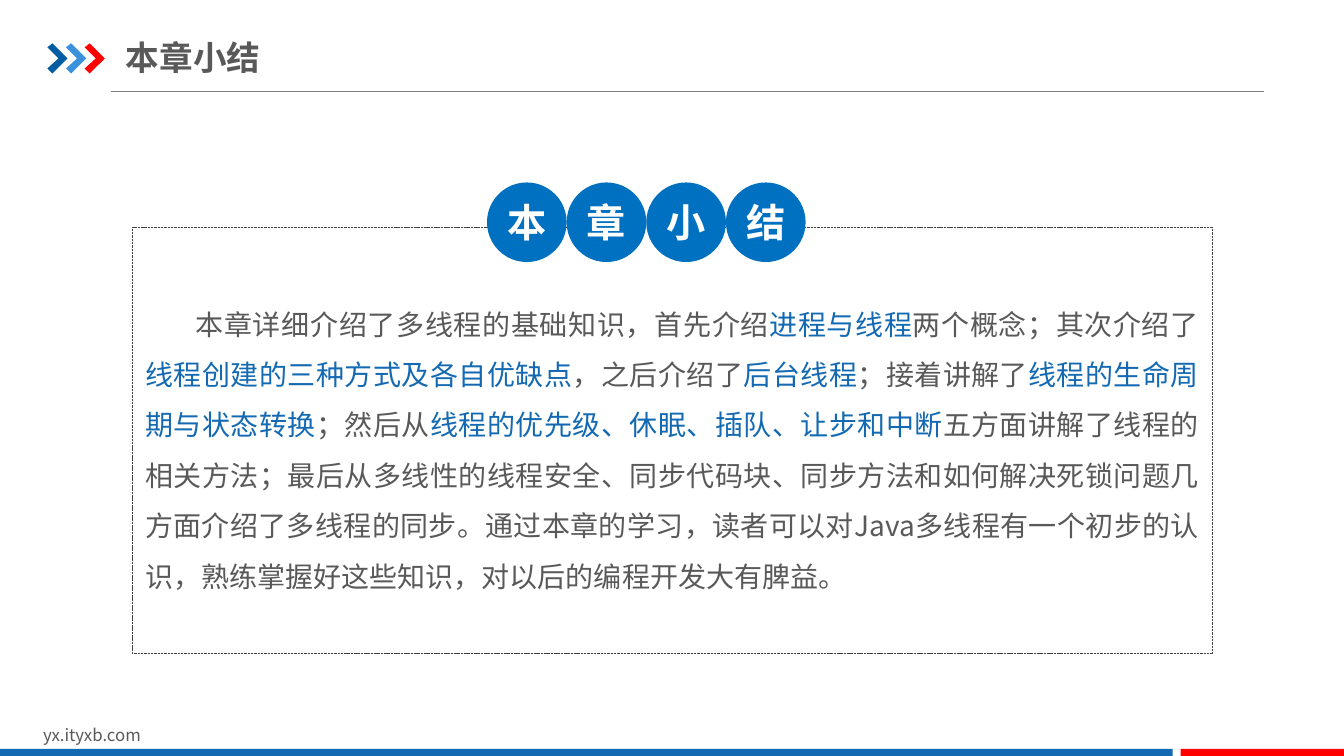
import pptx
import pptx.util
import pptx.dml.color
import pptx.enum.dml
import pptx.enum.shapes
import pptx.enum.text
import pptx.oxml.ns
from lxml import etree

Inches = pptx.util.Inches
SHAPE = pptx.enum.shapes.MSO_SHAPE
ALIGN = pptx.enum.text.PP_ALIGN
ANCHOR = pptx.enum.text.MSO_ANCHOR
rgb = pptx.dml.color.RGBColor.from_string
qn = pptx.oxml.ns.qn

theme = {
    "font": "Noto Sans CJK SC",
    "text": rgb("595959"),
    "accent": rgb("1369B2"),
    "red": rgb("FF0000"),
    "circle": rgb("0070C0"),
    "white": rgb("FFFFFF"),
    "rule": rgb("808080"),
    "frame": rgb("404040"),
    "chevrons": [rgb("005DA2"), rgb("3992DB"), rgb("FF0000")],
    "footer_pt": 12,
    "title_pt": 24,
    "body_pt": 20,
    "circle_pt": 28,
}


def write(sp, runs, size, bold=False, align=ALIGN.LEFT, anchor=ANCHOR.TOP, insets=(0.1, 0.05)):
    tf = sp.text_frame
    tf.word_wrap = True
    tf.vertical_anchor = anchor
    tf.margin_left = tf.margin_right = Inches(insets[0])
    tf.margin_top = tf.margin_bottom = Inches(insets[1])
    p = tf.paragraphs[0]
    p.alignment = align
    p.font.name = theme["font"]
    p.font.size = pptx.util.Pt(size)
    p.font.bold = bold
    default = p._p.pPr.find(qn("a:defRPr"))
    etree.SubElement(default, qn("a:ea"), typeface=theme["font"])
    for text, color in runs:
        r = p.add_run()
        r.text = text
        r.font.color.rgb = theme[color]
    return p


def paint(sp, color):
    sp.shadow.inherit = False
    sp.fill.solid()
    sp.fill.fore_color.rgb = color
    sp.line.fill.background()


prs = pptx.Presentation()
prs.slide_width = Inches(13.33)
prs.slide_height = Inches(7.5)
s = prs.slides.add_slide(prs.slide_layouts[6])

rule = s.shapes.add_connector(pptx.enum.shapes.MSO_CONNECTOR.STRAIGHT,
                              Inches(1.1), Inches(0.91), Inches(12.54), Inches(0.91))
rule.line.color.rgb = theme["rule"]
rule.line.width = pptx.util.Pt(0.75)
etree.SubElement(rule._element.spPr, qn("a:effectLst"))

chevron = [(0, 0.04), (0.05, 0), (0.2, 0.15), (0.05, 0.3), (0, 0.25), (0.11, 0.15)]
for i, color in enumerate(theme["chevrons"]):
    points = [(Inches(0.47 + 0.185 * i + x), Inches(0.43 + y)) for x, y in chevron]
    fb = s.shapes.build_freeform(*points[0])
    fb.add_line_segments(points[1:], close=True)
    paint(fb.convert_to_shape(), color)

footer = s.shapes.add_textbox(Inches(0.33), Inches(7.14), Inches(3.18), Inches(0.3))
write(footer, [("yx.ityxb.com", "text")], theme["footer_pt"])

for left, width, color in [(0, 11.63, "accent"), (11.71, 1.62, "red")]:
    bar = s.shapes.add_shape(SHAPE.RECTANGLE, Inches(left), Inches(7.43), Inches(width), Inches(0.07))
    paint(bar, theme[color])

title = s.shapes.add_textbox(Inches(1.25), Inches(0.29), Inches(6.2), Inches(0.55))
write(title, [("本章小结", "text")], theme["title_pt"], bold=True, anchor=ANCHOR.MIDDLE, insets=(0, 0.07))

summary = [
    ("本章详细介绍了多线程的基础知识，首先介绍", "text"),
    ("进程与线程", "accent"),
    ("两个概念；其次介绍了", "text"),
    ("线程创建的三种方式及各自优缺点", "accent"),
    ("，之后介绍了", "text"),
    ("后台线程", "accent"),
    ("；接着讲解了", "text"),
    ("线程的生命周期与状态转换", "accent"),
    ("；然后从", "text"),
    ("线程的优先级、休眠、插队、让步和中断", "accent"),
    ("五方面讲解了线程的相关方法；最后从多线性的线程安全、同步代码块、同步方法和如何解决死锁问题几方面"
     "介绍了多线程的同步。通过本章的学习，读者可以对Java多线程有一个初步的认识，熟练掌握好这些知识，"
     "对以后的编程开发大有脾益。", "text"),
]
body = s.shapes.add_textbox(Inches(1.31), Inches(2.81), Inches(10.71), Inches(3.16))
p = write(body, summary, theme["body_pt"], align=ALIGN.JUSTIFY, insets=(0.13, 0.07))
p.line_spacing = 1.5
p._p.pPr.set("marL", "0")
p._p.pPr.set("indent", str(Inches(0.5)))

frame = s.shapes.add_shape(SHAPE.ROUNDED_RECTANGLE, Inches(1.31), Inches(2.25), Inches(10.71), Inches(4.23))
frame.adjustments[0] = 0
frame.shadow.inherit = False
frame.fill.background()
frame.line.color.rgb = theme["frame"]
frame.line.width = pptx.util.Pt(0.25)
frame.line.dash_style = pptx.enum.dml.MSO_LINE.SQUARE_DOT

diameter = 0.79
for i, char in enumerate("本章小结"):
    circle = s.shapes.add_shape(SHAPE.OVAL, Inches(4.83 + diameter * i), Inches(1.81),
                                Inches(diameter), Inches(diameter))
    paint(circle, theme["circle"])
    write(circle, [(char, "white")], theme["circle_pt"], bold=True,
          align=ALIGN.CENTER, anchor=ANCHOR.MIDDLE, insets=(0, 0))

prs.save("out.pptx")
